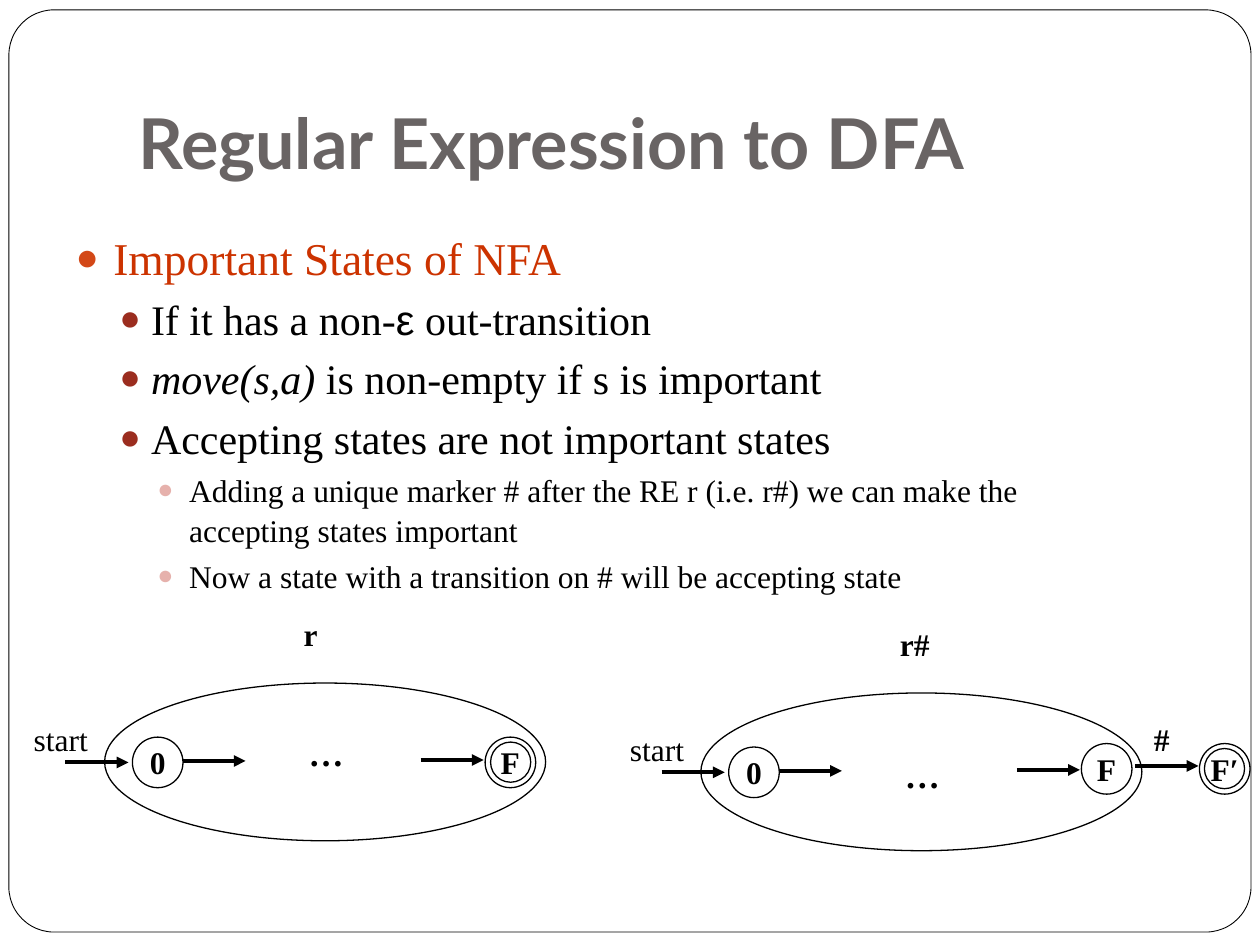
import pptx
import pptx.util
import pptx.dml.color
import pptx.enum.shapes
import pptx.enum.text
import pptx.oxml
import pptx.oxml.ns

Cm = pptx.util.Cm
Pt = pptx.util.Pt
RGBColor = pptx.dml.color.RGBColor
SHAPE = pptx.enum.shapes.MSO_SHAPE
ALIGN = pptx.enum.text.PP_ALIGN
ANCHOR = pptx.enum.text.MSO_ANCHOR
FIT = pptx.enum.text.MSO_AUTO_SIZE

BLACK = RGBColor(0x00, 0x00, 0x00)
WHITE = RGBColor(0xFF, 0xFF, 0xFF)
GRAY = RGBColor(0x69, 0x64, 0x64)
RED = RGBColor(0xCC, 0x33, 0x00)
ORANGE = RGBColor(0xD3, 0x48, 0x17)
MAROON = RGBColor(0x9B, 0x2D, 0x1F)
PINK = RGBColor(0xE6, 0xB1, 0xAC)
SERIF = "Times New Roman"


def format(item, values):
    for name, value in values.items():
        if name == "color":
            item.color.rgb = value
        else:
            setattr(item, name, value)


def outline(kind, left, top, width, height, weight=0.75):
    shape = slide.shapes.add_shape(kind, Cm(left), Cm(top), Cm(width), Cm(height))
    shape.shadow.inherit = False
    shape.fill.background()
    format(shape.line, {"color": BLACK, "width": Pt(weight)})
    return shape


deck = pptx.Presentation()
format(deck, {"slide_width": Cm(25.4), "slide_height": Cm(19.05)})
slide = deck.slides.add_slide(deck.slide_layouts[1])

frame = outline(SHAPE.ROUNDED_RECTANGLE, 0.18, 0.2, 25.04, 18.59, 0.5)
frame.adjustments[0] = 0.049
frame.fill.solid()
frame.fill.fore_color.rgb = WHITE
slide.shapes._spTree.insert(2, frame._element)

title = slide.shapes.title
format(title, {"left": Cm(2.54), "top": Cm(0.76), "width": Cm(21.59), "height": Cm(3.18)})
format(title.text_frame, {
    "text": "Regular Expression to DFA", "vertical_anchor": ANCHOR.BOTTOM,
    "auto_size": FIT.NONE, "margin_bottom": Cm(0.25),
})
head = title.text_frame.paragraphs[0]
head.alignment = ALIGN.LEFT
format(head.runs[0].font, {"name": "Lato", "size": Pt(40), "bold": True, "color": GRAY})

body = slide.placeholders[1]
format(body, {"left": Cm(1.27), "top": Cm(4.45), "width": Cm(20.75), "height": Cm(13.54)})
body.text_frame.auto_size = FIT.NONE
levels = [
    {"size": 26, "color": RED, "dot": ORANGE, "left": 0.76, "hang": 0.76},
    {"size": 24, "color": BLACK, "dot": MAROON, "left": 1.52, "hang": 0.64},
    {"size": 18, "color": BLACK, "dot": PINK, "left": 2.29, "hang": 0.64},
]
points = [
    (0, [("Important States of NFA", {})]),
    (1, [("If it has a non-", {}), ("ε", {"name": "Arial"}), (" out-transition", {})]),
    (1, [("move(s,a)", {"italic": True}), (" is non-empty if s is important", {})]),
    (1, [("Accepting states are not important states", {})]),
    (2, [("Adding a unique marker # after the RE r (i.e. r#) we can make the "
          "accepting states important", {})]),
    (2, [("Now a state with a transition on # will be accepting state", {})]),
]
for place, (depth, parts) in enumerate(points):
    look = levels[depth]
    para = body.text_frame.paragraphs[0] if place == 0 else body.text_frame.add_paragraph()
    format(para, {"level": depth, "line_spacing": 1.05, "space_before": Pt(3.7 if place else 0)})
    props = para._p.get_or_add_pPr()
    props.set("marL", str(Cm(look["left"])))
    props.set("indent", str(-Cm(look["hang"])))
    space = pptx.oxml.ns.nsdecls("a")
    for mark in (
        f'<a:buClr {space}><a:srgbClr val="{look["dot"]}"/></a:buClr>',
        f'<a:buSzPct {space} val="85000"/>',
        f'<a:buFont {space} typeface="{SERIF}"/>',
        f'<a:buChar {space} char="●"/>',
    ):
        props.append(pptx.oxml.parse_xml(mark))
    for text, extra in parts:
        run = para.add_run()
        run.text = text
        format(run.font, {"name": SERIF, "size": Pt(look["size"]), "color": look["color"], **extra})

SIDE, INNER, REACH = 1.02, 0.81, 1.27
states, rings, ovals, arrows, labels = [], [], [], [], []
for right, down, name, last, dots in (
    (0, 0, "r", 14.86, 14.63), (12.02, 0.2, "r#", 14.99, 15.06),
):
    states += [("0", 2.67 + right, 14.86 + down), ("F", 9.78 + right, last)]
    ovals.append((2.11 + right, 13.77 + down))
    arrows += [(x + right, y + down) for x, y in ((1.32, 15.37), (3.68, 15.34), (8.48, 15.32))]
    labels += [
        ("start", 0.43 + right, 14.4 + down, 1.75, 18, False),
        (name, 5.87 + right, 12.27 + down, 0.76 if name == "r" else 1.12, 18, True),
        ("…", 5.97 + right, dots, 1.22, 20, True),
    ]
states.append(("F′", 24.18, 14.99))
arrows.append((22.89, 15.44))
labels.append(("#", 23.01, 14.4, 0.86, 18, True))
rings = [(9.89, 14.96), (24.28, 15.09)]

for text, left, top in states:
    node = outline(SHAPE.OVAL, left, top, SIDE, SIDE)
    format(node.text_frame, {"text": text, "word_wrap": False, "vertical_anchor": ANCHOR.MIDDLE})
    para = node.text_frame.paragraphs[0]
    para.alignment = ALIGN.CENTER
    format(para.runs[0].font, {"name": SERIF, "size": Pt(18), "bold": True, "color": BLACK})

for left, top in rings:
    outline(SHAPE.OVAL, left, top, INNER, INNER)

for left, top in ovals:
    outline(SHAPE.OVAL, left, top, 8.89, 3.18)

for left, top in arrows:
    arrow = slide.shapes.add_connector(
        pptx.enum.shapes.MSO_CONNECTOR.STRAIGHT, Cm(left), Cm(top), Cm(left + REACH), Cm(top))
    format(arrow.line, {"color": BLACK, "width": Pt(2.25)})
    space = pptx.oxml.ns.nsdecls("a")
    arrow.line._get_or_add_ln().append(pptx.oxml.parse_xml(f'<a:tailEnd {space} type="triangle"/>'))
    arrow._element.spPr.append(pptx.oxml.parse_xml(f"<a:effectLst {space}/>"))

for text, left, top, width, size, bold in labels:
    label = slide.shapes.add_textbox(Cm(left), Cm(top), Cm(width), Cm(1.09 if size == 20 else 1.02))
    format(label.text_frame, {"text": text, "word_wrap": False, "auto_size": FIT.SHAPE_TO_FIT_TEXT})
    font = label.text_frame.paragraphs[0].runs[0].font
    format(font, {"name": SERIF, "size": Pt(size), "bold": bold, "color": BLACK})

deck.save("out.pptx")
